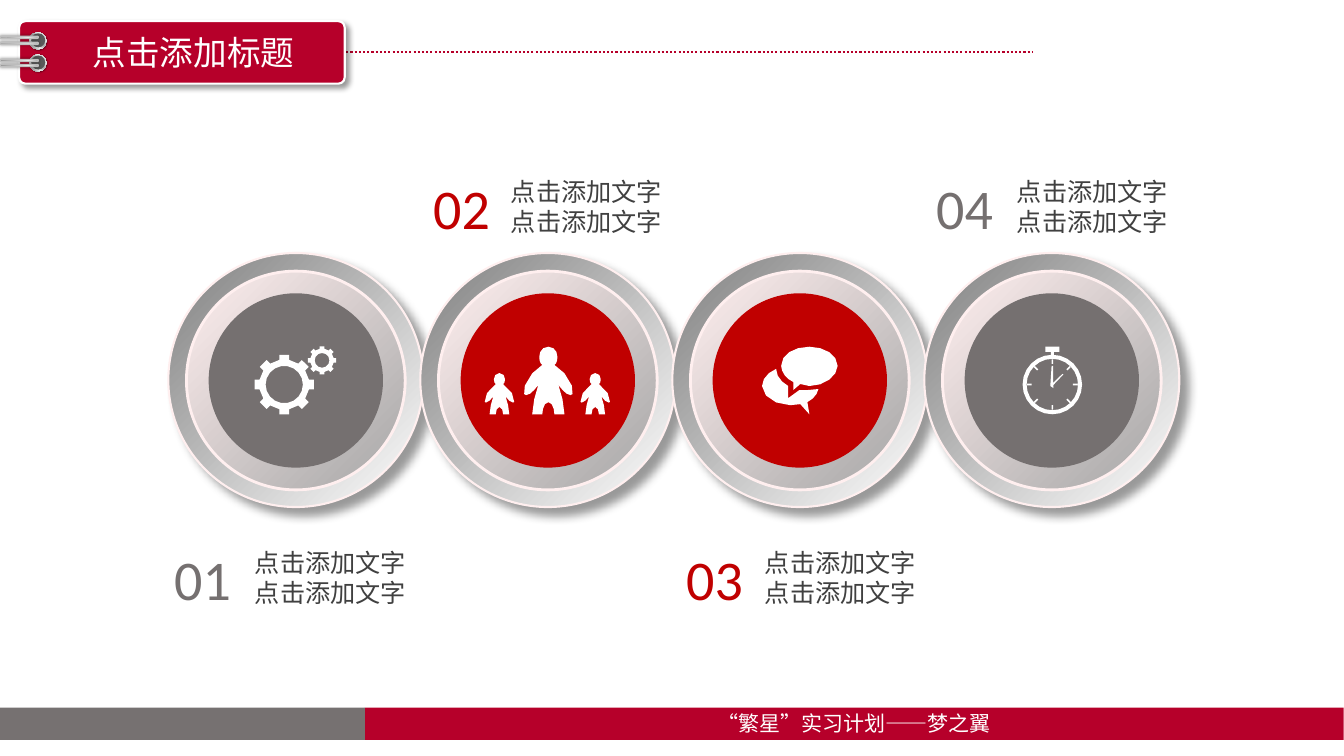
import dataclasses
import math

import pptx
import pptx.dml.color
import pptx.enum.dml
import pptx.enum.shapes
import pptx.enum.text
import pptx.oxml.ns
import pptx.util
from lxml import etree

SHAPE = pptx.enum.shapes.MSO_SHAPE
ALIGN = pptx.enum.text.PP_ALIGN
qn = pptx.oxml.ns.qn


@dataclasses.dataclass(frozen=True)
class Theme:
    crimson: str = "B6002A"
    red: str = "C00000"
    gray: str = "757070"
    band: str = "767171"
    ink: str = "404040"
    white: str = "FFFFFF"
    blush: str = "FFEFEF"
    steel: str = "BFBFBF"
    hole: str = "595959"
    han: str = "Noto Sans CJK SC"
    latin: str = "Calibri"
    title: int = 24
    caption: int = 18
    number: int = 40
    footer: int = 15
    ring: tuple = ((0, "FFFFFF"), (100, "808080"))
    plate: tuple = ((0, "FFEFEF"), (100, "A6A6A6"))
    rivet: tuple = ((0, "FFFFFF"), (17, "A6A6A6"), (35, "F2F2F2"),
                    (55, "A6A6A6"), (75, "F2F2F2"), (100, "A6A6A6"))
    wire: tuple = ((0, "808080"), (23, "A6A6A6"), (52, "D9D9D9"),
                   (74, "FFFFFF"), (100, "A6A6A6"))


def px(length):
    return pptx.util.Emu(round(length * 9144))


def rgb(color):
    return pptx.dml.color.RGBColor.from_string(color)


class Painter:
    def __init__(self, page, theme):
        self.page = page
        self.theme = theme

    def finish(self, shape, fill, angle=0, line=None, shadow=None):
        if isinstance(fill, str):
            shape.fill.solid()
            shape.fill.fore_color.rgb = rgb(fill)
        else:
            shape.fill.gradient()
            shape.fill.gradient_angle = 360 - angle
            stops = shape._element.spPr.find(".//" + qn("a:gsLst"))
            stops.clear()
            for percent, color in fill:
                stop = etree.SubElement(stops, qn("a:gs"), pos=str(percent * 1000))
                etree.SubElement(stop, qn("a:srgbClr"), val=color)
        if line:
            shape.line.color.rgb = rgb(line[0])
            shape.line.width = pptx.util.Pt(line[1])
        else:
            shape.line.fill.background()
        shape.shadow.inherit = False
        if shadow:
            blur, distance, direction = shadow
            effects = shape._element.spPr.find(qn("a:effectLst"))
            outer = etree.SubElement(
                effects, qn("a:outerShdw"), blurRad=str(blur * 12700),
                dist=str(distance * 12700), dir=str(direction * 60000),
                algn="ctr", rotWithShape="0")
            color = etree.SubElement(outer, qn("a:srgbClr"), val="000000")
            etree.SubElement(color, qn("a:alpha"), val="40000")

    def shape(self, kind, place, fill, corner=None, turn=0, **style):
        shape = self.page.shapes.add_shape(kind, *map(px, place))
        shape.rotation = turn
        if corner is not None:
            shape.adjustments[0] = corner
        self.finish(shape, fill, **style)

    def rule(self, start, end, color, width):
        line = self.page.shapes.add_connector(
            pptx.enum.shapes.MSO_CONNECTOR.STRAIGHT, *map(px, start + end))
        formats = {"width": pptx.util.Pt(width),
                   "dash_style": pptx.enum.dml.MSO_LINE.ROUND_DOT}
        for name, value in formats.items():
            setattr(line.line, name, value)
        line.line.color.rgb = rgb(color)
        etree.SubElement(line._element.spPr, qn("a:effectLst"))

    def text(self, place, lines, size, color, font, align=ALIGN.LEFT):
        box = self.page.shapes.add_textbox(*map(px, place))
        frame = box.text_frame
        formats = {"word_wrap": False,
                   "auto_size": pptx.enum.text.MSO_AUTO_SIZE.SHAPE_TO_FIT_TEXT}
        for name, value in formats.items():
            setattr(frame, name, value)
        for index, line in enumerate(lines):
            para = frame.add_paragraph() if index else frame.paragraphs[0]
            para.alignment = align
            span = para.add_run()
            span.text = line
            for name, value in {"size": pptx.util.Pt(size), "name": font}.items():
                setattr(span.font, name, value)
            span.font.color.rgb = rgb(color)
            etree.SubElement(span.font._element, qn("a:ea"), typeface=font)

    def icon(self, outlines):
        outlines = [[(px(x), px(y)) for x, y in outline] for outline in outlines]
        builder = self.page.shapes.build_freeform(*outlines[0][0], scale=1.0)
        for index, outline in enumerate(outlines):
            if index:
                builder.move_to(*outline[0])
            builder.add_line_segments(outline[1:], close=True)
        self.finish(builder.convert_to_shape(), self.theme.white)


def trace(start, steps, pieces):
    points = [start]
    for step in steps:
        if len(step) == 2:
            points.append(step)
            continue
        corners = [points[-1], step[:2], step[2:4], step[4:]]
        for piece in range(1, pieces + 1):
            t = piece / pieces
            weights = [math.comb(3, k) * t**k * (1 - t)**(3 - k) for k in range(4)]
            points.append(tuple(sum(w * corner[axis] for w, corner in zip(weights, corners))
                                for axis in (0, 1)))
    return points


def spin(center, points, degrees):
    cos, sin = math.cos(math.radians(degrees)), math.sin(math.radians(degrees))
    return [(center[0] + x * cos - y * sin, center[1] + x * sin + y * cos)
            for x, y in points]


def circle(center, radius, sides):
    return [spin(center, [(radius, 0)], 360 * side / sides)[0] for side in range(sides)]


def gear(center, root, tip, half, hole, sides):
    tooth = [(root, -half), (tip, -half), (tip, half), (root, half)]
    rim = [point for angle in range(0, 360, 45) for point in spin(center, tooth, angle)]
    return [rim, circle(center, hole, sides)]


def person(middle, scale, pieces, foot=411):
    half = trace((0, -67), [
        (-6, -67, -9, -62, -9, -57), (-9, -53, -8, -50, -6, -49),
        (-16, -45, -28, -24, -24, -20), (-22, -19),
        (-18, -19, -14, -24, -10, -29), (-14, -15), (-16, 0),
        (-6, 0), (-6, -5, -4, -12, 0, -12)], pieces)
    body = half + [(-x, y) for x, y in reversed(half[1:-1])]
    return [(middle + x * scale, foot + y * scale) for x, y in body]


def bubbles():
    back = trace((793, 387), [
        (782, 395), (782, 383), (775, 379, 770, 373, 770, 366),
        (762, 369, 756, 376, 756, 383), (756, 393, 769, 402, 784, 402),
        (794, 401), (803, 411), (801, 399),
        (807, 396, 811, 391, 812, 386), (801, 387)], 3)
    front = trace((803, 344), [
        (787, 344, 775, 352, 775, 363), (775, 369, 780, 376, 787, 379),
        (787, 387), (794, 381), (803, 383),
        (818, 383, 831, 373, 831, 363), (831, 352, 818, 344, 803, 344)], 4)
    return [back, front]


def stopwatch(center=(1044, 381.5)):
    crown = [(1037, 344), (1051, 344), (1051, 349), (1045.5, 349),
             (1045.5, 352), (1042.5, 352), (1042.5, 349), (1037, 349)]
    hands = [(1043.3, 363), (1044.7, 363), (1044.7, 380), (1054, 371),
             (1055, 371.5), (1045, 382), (1045, 385), (1042, 383)]
    tick = [(20.5, -0.8), (25, -0.8), (25, 0.8), (20.5, 0.8)]
    ticks = [spin(center, tick, angle) for angle in range(0, 360, 45)]
    return [circle(center, 29.5, 24), circle(center, 25.5, 24), crown, hands, *ticks]


def main():
    deck = pptx.Presentation()
    deck.slide_width, deck.slide_height = px(1333.33), px(750)
    theme = Theme()
    painter = Painter(deck.slides.add_slide(deck.slide_layouts[6]), theme)

    painter.shape(SHAPE.RECTANGLE, (362, 702, 971, 32), theme.crimson)
    painter.text((699, 700, 297, 35), ["“繁星”实习计划——梦之翼"],
                 theme.footer, theme.white, theme.han, ALIGN.CENTER)
    painter.rule((331, 52), (1024, 52), theme.crimson, 1.5)
    painter.shape(SHAPE.ROUNDED_RECTANGLE, (19, 21, 323, 62), theme.crimson,
                  corner=0.1, line=(theme.white, 1.5), shadow=(4, 3, 45))
    for top in (54, 32):
        painter.shape(SHAPE.OVAL, (29, top, 17, 17), theme.rivet,
                      turn=270, angle=45, shadow=(1, 1, 45))
        painter.shape(SHAPE.OVAL, (31, top + 1, 14, 14), theme.hole, turn=270)
    for top in (46, 41, 24, 18):
        painter.shape(SHAPE.ROUNDED_RECTANGLE, (18, top, 2, 38), theme.wire, corner=0.5,
                      turn=270, angle=90, line=(theme.steel, 1), shadow=(2, 0, 0))
    painter.shape(SHAPE.RECTANGLE, (0, 702, 362, 32), theme.band)

    accents = (theme.gray, theme.red, theme.red, theme.gray)
    lefts = [167 + 250 * index for index in range(len(accents))]
    for left in lefts:
        painter.shape(SHAPE.OVAL, (left, 251, 253, 252), theme.ring, angle=225,
                      line=(theme.blush, 1.5), shadow=(7, 8, 45))
    for left, accent in zip(lefts, accents):
        painter.shape(SHAPE.OVAL, (left + 18, 269, 217, 217), theme.plate, angle=45,
                      line=(theme.blush, 2))
        painter.shape(SHAPE.OVAL, (left + 40, 291, 173, 173), accent)

    painter.icon(gear((282, 381.5), 24.5, 29.5, 4.8, 18.5, 18)
                 + gear((319.5, 357.5), 11.5, 14, 2.3, 7.3, 12))
    painter.icon([person(590.5, 0.61, 2), person(495.5, 0.61, 2), person(544, 1, 3)])
    painter.icon(bubbles())
    painter.icon(stopwatch())

    labels = (("01", 163, 243, 535), ("02", 420, 497, 167),
              ("03", 671, 749, 535), ("04", 919, 999, 167))
    for (number, left, caption_left, top), accent in zip(labels, accents):
        painter.text((caption_left, top + 3, 172, 71), ["点击添加文字"] * 2,
                     theme.caption, theme.ink, theme.han)
        painter.text((left, top, 77, 77), [number], theme.number, accent, theme.latin)
    painter.text((81, 27, 222, 50), ["点击添加标题"],
                 theme.title, theme.white, theme.han, ALIGN.CENTER)
    deck.save("out.pptx")


if __name__ == "__main__":
    main()
